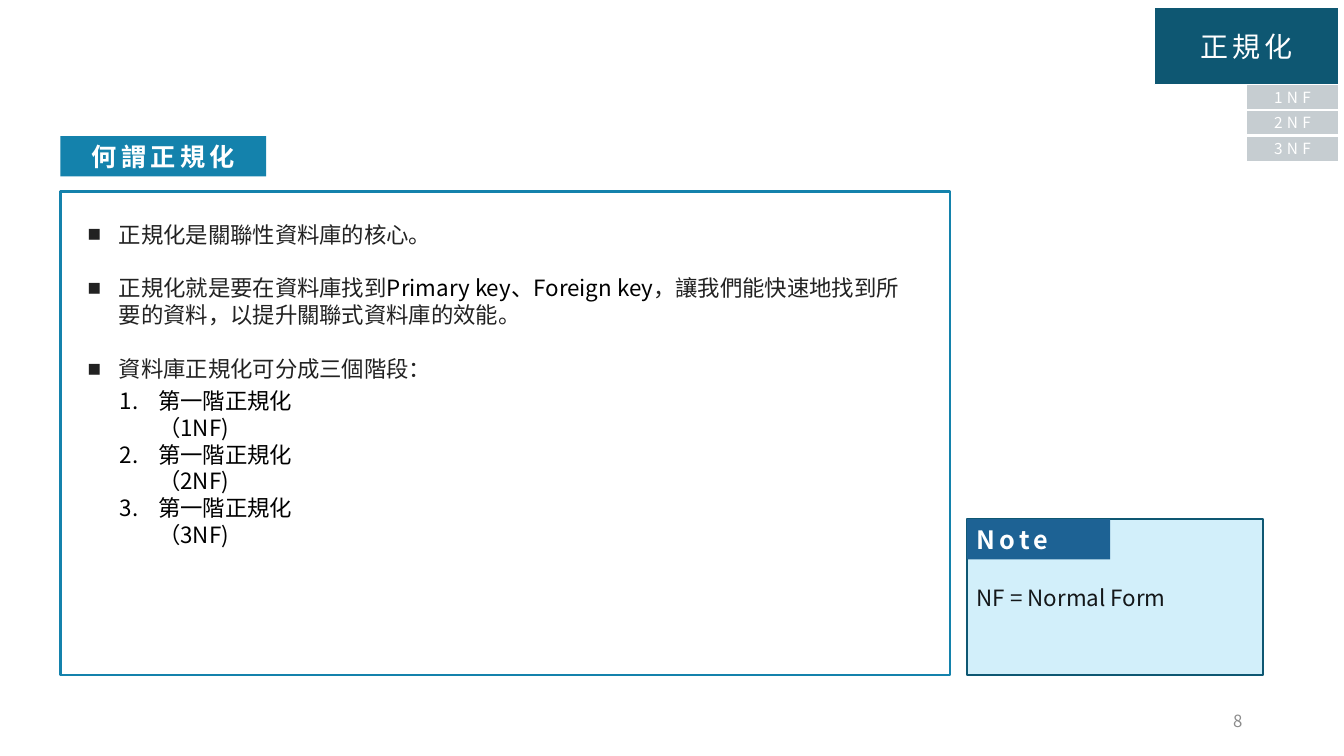
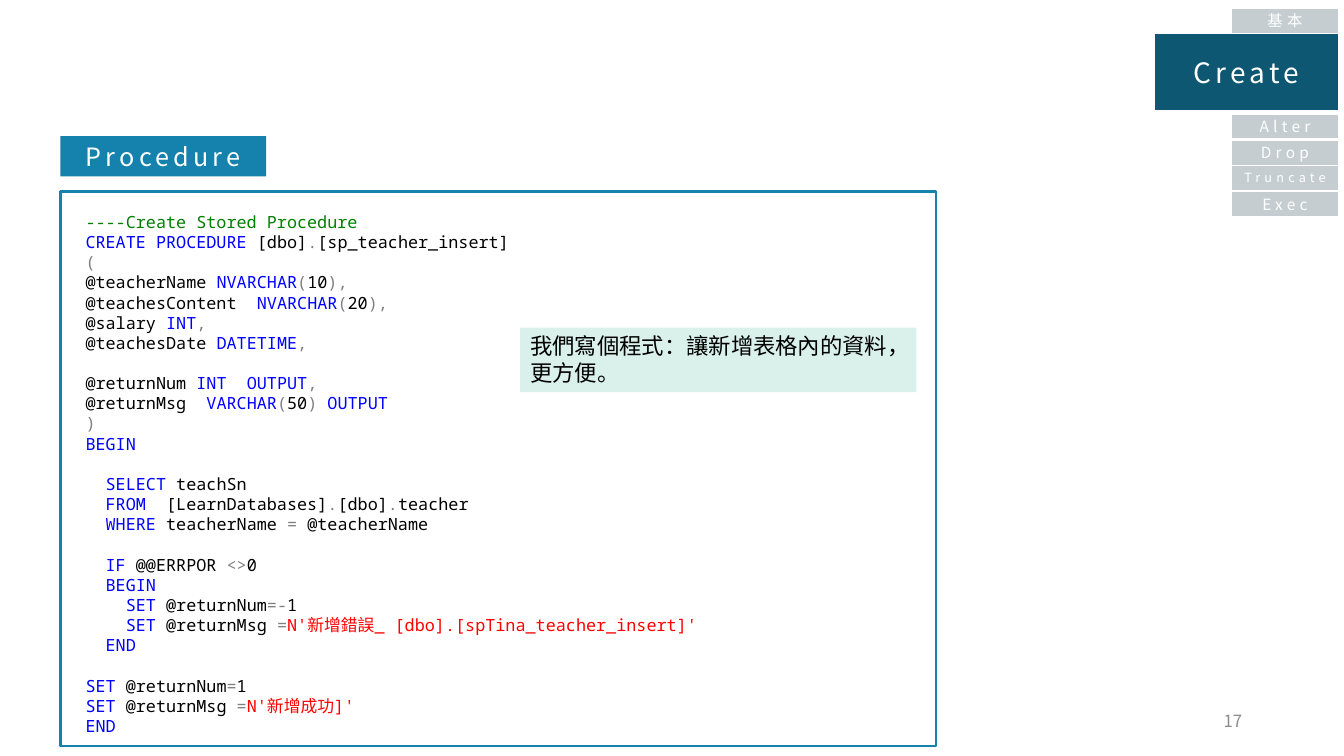
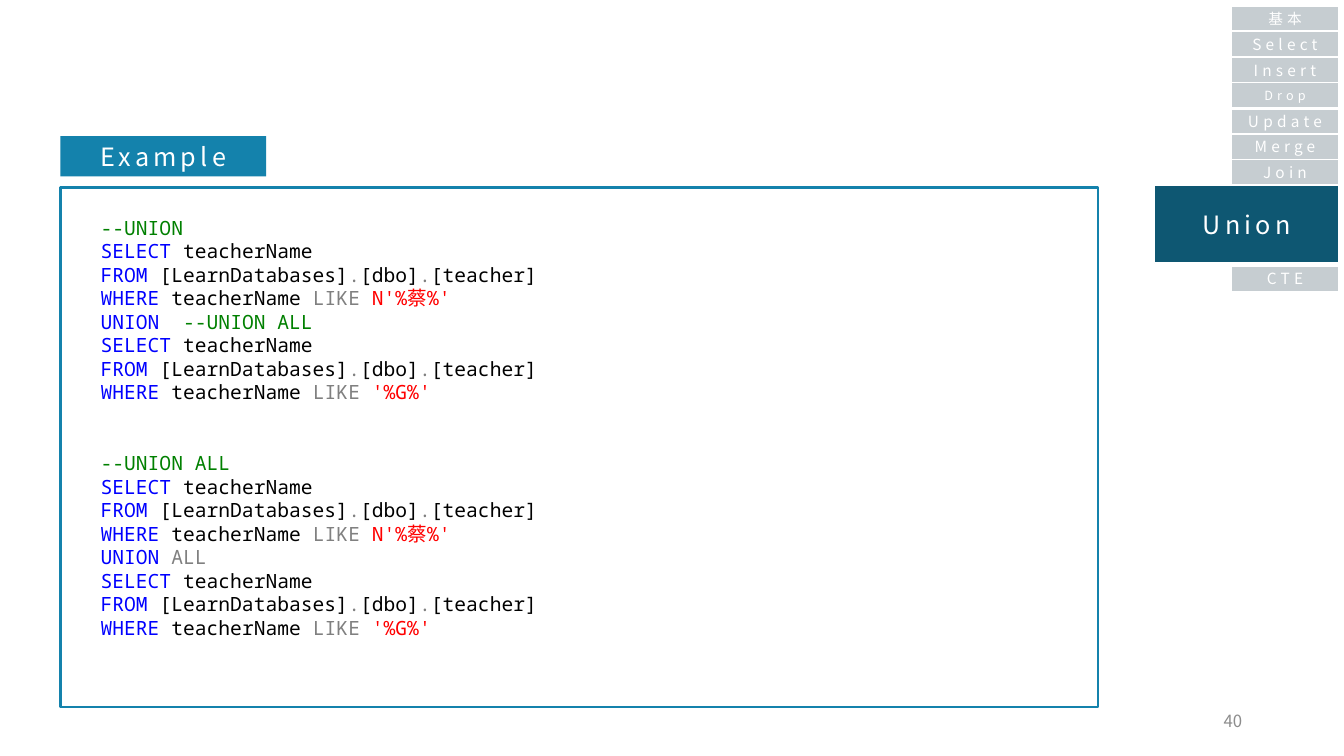
from lxml import etree
from pptx import Presentation
from pptx import util as u
from pptx.dml.color import RGBColor
from pptx.enum import shapes, text
from pptx.oxml.ns import qn

PX = 9144  # 100 px to the inch
COLORS = {
    "white": "FFFFFF", "navy": "0E5772", "blue": "1482AC", "tab": "C6CDD1",
    "sky": "D2EFFA", "note": "1D6294", "mint": "D9F1EA",
    "ink": "222222", "dark": "141719", "black": "000000", "page": "8C8C8C",
}
# Syntax colours, keyed by the letter that starts each piece of a code line
SYNTAX = {"c": "008000", "k": "0000FF", "n": "000000", "o": "808080", "s": "FF0000"}
SANS, MONO, ARIAL = "Noto Sans CJK TC", "Noto Sans Mono", "Arial"
LEADING = 1.2
LEFT, CENTER, RIGHT = text.PP_ALIGN.LEFT, text.PP_ALIGN.CENTER, text.PP_ALIGN.RIGHT
TOP, MIDDLE = text.MSO_ANCHOR.TOP, text.MSO_ANCHOR.MIDDLE

TAB_RIGHT, TAB_PITCH, TAB_HEIGHT = 1328, 25.4, 25
ACTIVE_WIDTH, ACTIVE_HEIGHT = 183, 77


def px(*lengths):
    return [u.Emu(length * PX) for length in lengths]


def rgb(name):
    return RGBColor.from_string(COLORS.get(name, name))


# --- Text ---
def add_run(paragraph, words, size, color, font=SANS, bold=False, spacing=0):
    run = paragraph.add_run()
    run.text = words
    run.font.size = u.Pt(size)
    run.font.name = font
    run.font.bold = bold
    run.font.color.rgb = rgb(color)
    props = run.font._element
    east_asian = etree.SubElement(props, qn("a:ea"))
    east_asian.set("typeface", MONO if font == MONO else SANS)
    if spacing:
        props.set("spc", str(spacing * 100))


def next_paragraph(frame, size, align=LEFT, before=0):
    first = frame.paragraphs[0]
    paragraph = frame.add_paragraph() if first.runs else first
    paragraph.alignment = align
    paragraph.line_spacing = u.Pt(size * LEADING)
    paragraph.space_before = u.Pt(before)
    return paragraph


def set_indent(paragraph, left, first=0):
    props = paragraph._p.get_or_add_pPr()
    props.set("marL", str(round(left * PX)))
    props.set("indent", str(round(first * PX)))
    return props


def add_bullet(paragraph, hang, char=None):
    """Hang the paragraph on a character, or on a number if none is given."""
    props = set_indent(paragraph, hang, -hang)
    if char:
        etree.SubElement(props, qn("a:buFont")).set("typeface", ARIAL)
        etree.SubElement(props, qn("a:buChar")).set("char", char)
    else:
        etree.SubElement(props, qn("a:buFont")).set("typeface", "+mj-lt")
        etree.SubElement(props, qn("a:buAutoNum")).set("type", "arabicPeriod")


def text_area(slide, box, anchor=TOP):
    frame = slide.shapes.add_textbox(*px(*box)).text_frame
    frame.word_wrap = True
    frame.vertical_anchor = anchor
    return frame


# --- Boxes ---
def panel(slide, box, fill=None, line=None, weight=1.5):
    shape = slide.shapes.add_shape(shapes.MSO_SHAPE.RECTANGLE, *px(*box))
    shape.shadow.inherit = False
    if fill:
        shape.fill.solid()
        shape.fill.fore_color.rgb = rgb(fill)
    else:
        shape.fill.background()
    if line:
        shape.line.color.rgb = rgb(line)
        shape.line.width = u.Pt(weight)
    else:
        shape.line.fill.background()
    return shape


def label(slide, box, words, size, fill, color="white", line=None, weight=1.5,
          align=LEFT, anchor=TOP, bold=False, spacing=0):
    frame = panel(slide, box, fill, line, weight).text_frame
    frame.word_wrap = True
    frame.vertical_anchor = anchor
    add_run(next_paragraph(frame, size, align), words, size, color,
            bold=bold, spacing=spacing)


# --- Parts that every slide has ---
def heading(slide, words, bold=False):
    label(slide, (60, 135, 204, 40), words, 18, "blue",
          align=CENTER, bold=bold, spacing=3)


def page_number(slide, number):
    frame = text_area(slide, (942, 695, 300, 40), MIDDLE)
    add_run(next_paragraph(frame, 12, RIGHT), str(number), 12, "page")


def section_tabs(slide, tabs, active, top, width=107, gap=3):
    """Stack the (name, size) tabs downwards; the active one is larger."""
    for name, size in tabs:
        current = name == active
        tab_width = ACTIVE_WIDTH if current else width
        height = ACTIVE_HEIGHT if current else TAB_HEIGHT
        label(slide, (TAB_RIGHT - tab_width, round(top), tab_width, height),
              name, size, "navy" if current else "tab", line="white", weight=1,
              align=CENTER, anchor=MIDDLE, spacing=3)
        top += ACTIVE_HEIGHT + gap if current else TAB_PITCH


def code(slide, box, blocks, size, gap_lines=1):
    """Write blocks of lines; a line is made of 'letter:words' pieces."""
    frame = text_area(slide, box)
    for number, block in enumerate(blocks):
        for row, line in enumerate(block):
            opens_block = number and not row
            gap = gap_lines * size * LEADING if opens_block else 0
            paragraph = next_paragraph(frame, size, before=gap)
            pieces = line.lstrip()
            depth = len(line) - len(pieces)
            set_indent(paragraph, depth * 0.6 * size * 100 / 72)
            for piece in pieces.split("|"):
                kind, _, words = piece.partition(":")
                add_run(paragraph, words, size, SYNTAX[kind], MONO)


# --- Slides ---
def normalization_slide(slide):
    heading(slide, "何謂正規化", bold=True)
    panel(slide, (60, 190, 882, 480), line="blue")

    points = [
        [("正規化是關聯性資料庫的核心。", "ink", ARIAL)],
        [("正規化就是要在資料庫找到", "ink", ARIAL),
         ("Primary key、Foreign key", "black", SANS),
         ("，讓我們能快速地找到所要的資料，以提升關聯式資料庫的效能。", "ink", ARIAL)],
        [("資料庫正規化可分成三個階段：", "ink", ARIAL)],
    ]
    frame = text_area(slide, (77, 214, 846, 226))
    for number, point in enumerate(points):
        paragraph = next_paragraph(frame, 16, before=16 * LEADING if number else 0)
        add_bullet(paragraph, 31, "■")
        for words, color, font in point:
            add_run(paragraph, words, 16, color, font)

    stages = text_area(slide, (109, 379, 255, 121))
    for form in ("1NF", "2NF", "3NF"):
        paragraph = next_paragraph(stages, 16)
        add_bullet(paragraph, 38)
        add_run(paragraph, f"第一階正規化（{form})", 16, "black")

    label(slide, (959, 515, 294, 155), "NF = Normal Form", 16, "sky", "dark",
          line="navy", anchor=MIDDLE)
    label(slide, (959, 515, 142, 40), "Note", 18, "note", bold=True, spacing=3)

    page_number(slide, 8)
    section_tabs(slide, [("正規化", 20), ("1NF", 11), ("2NF", 11), ("3NF", 11)],
                 "正規化", top=7, width=92, gap=0)


def procedure_slide(slide):
    heading(slide, "Procedure")
    panel(slide, (60, 190, 868, 550), line="blue")
    label(slide, (516, 325, 393, 64), "我們寫個程式：讓新增表格內的資料，更方便。",
          16, "mint", "black")
    code(slide, (75, 205, 667, 535), [
        ["c:----Create Stored Procedure",
         "k:CREATE PROCEDURE|n: [dbo]|o:.|n:[sp_teacher_insert]",
         "o:(",
         "n:@teacherName |k:NVARCHAR|o:(|n:10|o:),",
         "n:@teachesContent  |k:NVARCHAR|o:(|n:20|o:),",
         "n:@salary |k:INT|o:,",
         "n:@teachesDate |k:DATETIME|o:,"],
        ["n:@returnNum |k:INT  OUTPUT|o:,",
         "n:@returnMsg  |k:VARCHAR|o:(|n:50|o:) |k:OUTPUT",
         "o:)",
         "k:BEGIN"],
        ["  k:SELECT |n:teachSn",
         "  k:FROM|n:  [LearnDatabases]|o:.|n:[dbo]|o:.|n:teacher",
         "  k:WHERE |n:teacherName |o:=|n: @teacherName"],
        ["  k:IF|n: @@ERRPOR |o:<>|n:0",
         "  k:BEGIN",
         "    k:SET|n: @returnNum|o:=-|n:1",
         "    k:SET|n: @returnMsg |o:=|s:N'新增錯誤_ [dbo].[spTina_teacher_insert]'",
         "  k:END"],
        ["k:SET|n: @returnNum|o:=|n:1",
         "k:SET|n: @returnMsg |o:=|s:N'新增成功]'",
         "k:END"],
    ], 12)
    page_number(slide, 17)
    section_tabs(slide, [("基本", 11), ("Create", 20), ("Alter", 11), ("Drop", 11),
                         ("Truncate", 9), ("Exec", 11)], "Create", top=8)


def teacher_query(pattern):
    return ["k:SELECT|n: teacherName",
            "k:FROM|n: [LearnDatabases]|o:.|n:[dbo]|o:.|n:[teacher]",
            f"k:WHERE|n: teacherName |o:LIKE |s:{pattern}"]


def union_query(title, operator):
    return [title, *teacher_query("N'%蔡%'"), operator, *teacher_query("'%G%'")]


def union_slide(slide):
    panel(slide, (60, 186, 1029, 515), line="blue")
    heading(slide, "Example")
    code(slide, (90, 209, 667, 434), [
        union_query("c:--UNION", "k:UNION  |c:--UNION ALL"),
        union_query("c:--UNION ALL", "k:UNION |o:ALL"),
    ], 14, gap_lines=2)
    page_number(slide, 40)
    section_tabs(slide, [("基本", 10.5), ("Select", 11), ("Insert", 11), ("Drop", 9),
                         ("Update", 11), ("Merge", 11), ("Join", 11), ("Union", 18),
                         ("CTE", 11)], "Union", top=6)


def main():
    deck = Presentation()
    deck.slide_width, deck.slide_height = px(1333, 750)
    for build in (normalization_slide, procedure_slide, union_slide):
        build(deck.slides.add_slide(deck.slide_layouts[6]))
    deck.save("out.pptx")


if __name__ == "__main__":
    main()
